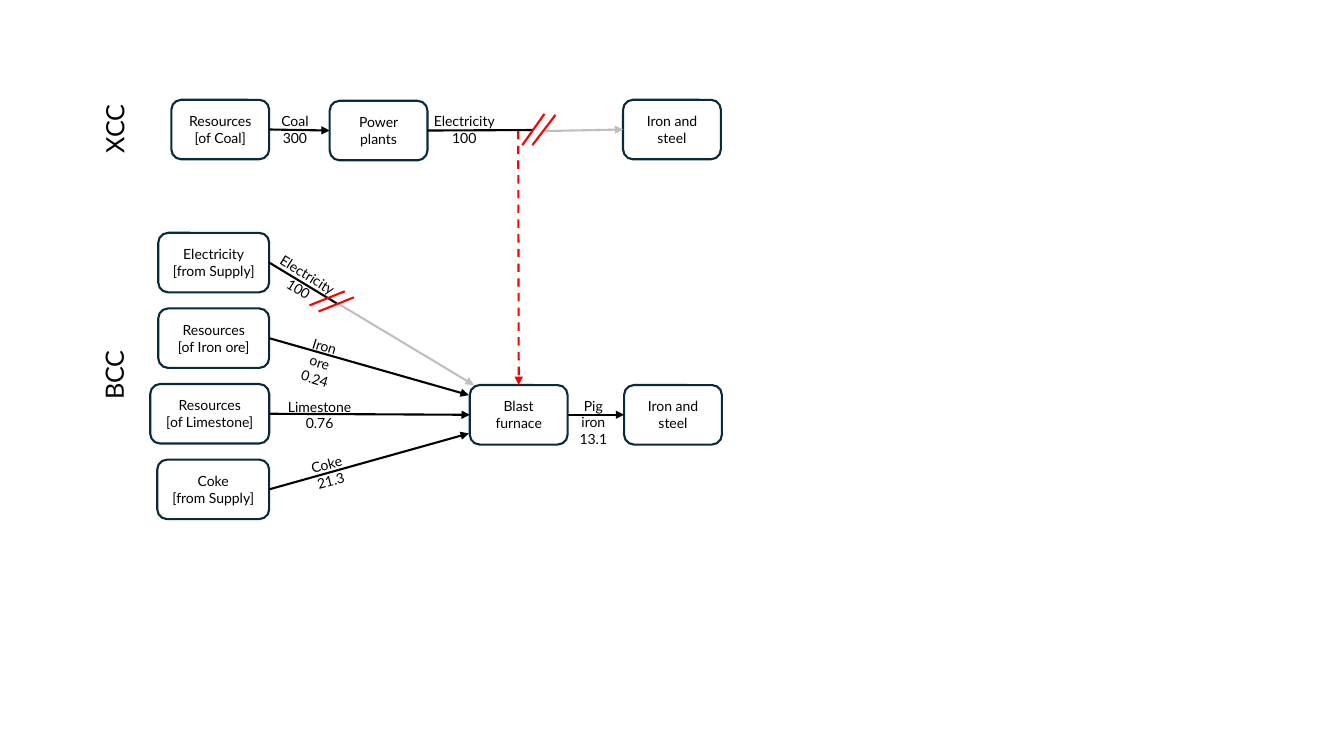
from pptx import Presentation
from pptx.dml.color import RGBColor
from pptx.enum.dml import MSO_LINE
from pptx.enum.shapes import MSO_CONNECTOR, MSO_SHAPE
from pptx.enum.text import MSO_ANCHOR, PP_ALIGN
from pptx.oxml.ns import qn
from pptx.util import Inches, Pt
from lxml import etree

BLACK, GREY, RED, NAVY, WHITE = "000000", "BFBFBF", "FF0000", "092A39", "FFFFFF"
TOP, LEFT, BOTTOM, RIGHT = range(4)
HIGH, WIDE, EDGE = 0.59, 0.97, 2.67

# name: (text, left, top, width)
BOXES = {
    "coal": ("Resources\n[of Coal]", 1.7, 0.99, WIDE),
    "plants": ("Power plants", 3.27, 1.0, WIDE),
    "steel": ("Iron and steel", 6.18, 0.99, WIDE),
    "furnace": ("Blast furnace", 4.66, 3.82, WIDE),
    "output": ("Iron and steel", 6.19, 3.82, WIDE),
}
INPUTS = [
    ("power", "Electricity\n[from Supply]", 1.1),
    ("ore", "Resources\n[of Iron ore]", 1.1),
    ("lime", "Resources\n[of Limestone]", 1.18),
    ("coke", "Coke\n[from Supply]", 1.11),
]
FIRST, STEP = 2.31, 0.75

# start, end, colour, arrow, dashed; an end is a point or (box name, side)
LINES = [
    (("power", RIGHT), (3.34, 3.01), BLACK, False, False),
    ((5.4, 1.3), ("steel", LEFT), GREY, True, False),
    (("coal", RIGHT), ("plants", LEFT), BLACK, True, False),
    (("ore", RIGHT), (4.65, 3.92), BLACK, True, False),
    (("lime", RIGHT), ("furnace", LEFT), BLACK, True, False),
    (("coke", RIGHT), (4.65, 4.3), BLACK, True, False),
    ((3.35, 3.01), (4.7, 3.82), GREY, True, False),
    (("furnace", RIGHT), ("output", LEFT), BLACK, True, False),
    ((5.14, 1.3), ("furnace", TOP), RED, True, True),
    (("plants", RIGHT), (5.31, 1.29), BLACK, False, False),
]
PATCH = [(5.18, 1.43), (5.4, 1.14), (5.52, 1.14), (5.29, 1.44)]
CUTS = [
    ((3.42, 2.89), (3.07, 3.03)),
    ((3.51, 2.95), (3.16, 3.09)),
    ((5.51, 1.14), (5.28, 1.44)),
    ((5.4, 1.13), (5.18, 1.44)),
]

# text, left, top, width, height, turn, size, side inset
LABELS = [
    ("Coal\n300", 2.68, 1.07, 0.49, 0.44, 0, 10, 0.05),
    ("Electricity\n100", 4.2, 1.07, 0.81, 0.44, 0, 10, 0.05),
    ("XCC", 0.79, 1.08, 0.69, 0.4, 270, 18, 0.05),
    ("BCC", 0.78, 3.52, 0.7, 0.4, 270, 18, 0.05),
    ("Iron ore\n0.24", 2.86, 3.3, 0.67, 0.44, 17, 10, 0.12),
    ("Limestone\n0.76", 2.75, 3.9, 0.84, 0.44, 0, 10, 0.05),
    ("Coke\n21.3", 3.0, 4.47, 0.52, 0.44, 345, 10, 0.05),
    ("Electricity\n100", 2.6, 2.58, 0.81, 0.44, 31.9, 10, 0.05),
    ("Pig iron\n13.1", 5.56, 3.89, 0.65, 0.44, 0, 10, 0.12),
]


def paint(color, hue):
    """Set a colour format from a hex string."""
    color.rgb = RGBColor.from_string(hue)


def write(shape, text, size=10, hue=BLACK, inset=0.1, anchor=MSO_ANCHOR.TOP):
    """Fill a shape with centred lines of text."""
    frame = shape.text_frame
    frame.word_wrap = True
    frame.vertical_anchor = anchor
    frame.margin_left = frame.margin_right = Inches(inset)
    frame.text = text
    for para in frame.paragraphs:
        para.alignment = PP_ALIGN.CENTER
        for run in para.runs:
            run.font.name, run.font.size = "Lato", Pt(size)
            paint(run.font.color, hue)


def add_box(shapes, text, left, top, width):
    """Add one rounded process box."""
    box = shapes.add_shape(MSO_SHAPE.ROUNDED_RECTANGLE,
                           *map(Inches, (left, top, width, HIGH)))
    box.shadow.inherit = False
    box.fill.background()
    paint(box.line.color, NAVY)
    box.line.width = Pt(1.5)
    write(box, text, anchor=MSO_ANCHOR.MIDDLE)
    return box


def add_line(shapes, boxes, start, end, hue, arrow=False, dashed=False):
    """Add one line, joined to a box where an end names one."""
    spots = [(0, 0) if spot[0] in boxes else spot for spot in (start, end)]
    line = shapes.add_connector(MSO_CONNECTOR.STRAIGHT,
                                *map(Inches, spots[0] + spots[1]))
    for spot, join in ((start, line.begin_connect), (end, line.end_connect)):
        if spot[0] in boxes:
            join(boxes[spot[0]], spot[1])
    paint(line.line.color, hue)
    line.line.width = Pt(1.5)
    if dashed:
        line.line.dash_style = MSO_LINE.DASH
    if arrow:
        etree.SubElement(line.line._get_or_add_ln(), qn("a:tailEnd"), type="triangle")
    etree.SubElement(line._element.spPr, qn("a:effectLst"))


def add_patch(shapes):
    """Add the white gap between the two upper cut marks."""
    dots = [tuple(map(Inches, dot)) for dot in PATCH]
    build = shapes.build_freeform(*dots[0])
    build.add_line_segments(dots[1:], close=True)
    patch = build.convert_to_shape()
    patch.shadow.inherit = False
    patch.fill.solid()
    paint(patch.fill.fore_color, WHITE)
    patch.line.fill.background()


def main():
    """Build the slide and save it."""
    deck = Presentation()
    deck.slide_width, deck.slide_height = Inches(13.33), Inches(7.5)
    shapes = deck.slides.add_slide(deck.slide_layouts[6]).shapes
    plan = dict(BOXES)
    for row, (name, text, width) in enumerate(INPUTS):
        plan[name] = (text, EDGE - width, FIRST + row * STEP, width)
    boxes = {name: add_box(shapes, *item) for name, item in plan.items()}
    for item in LINES:
        add_line(shapes, boxes, *item)
    for text, left, top, width, high, turn, size, inset in LABELS:
        label = shapes.add_textbox(*map(Inches, (left, top, width, high)))
        label.rotation = turn
        write(label, text, size=size, inset=inset)
    add_patch(shapes)
    for start, end in CUTS:
        add_line(shapes, boxes, start, end, RED)
    deck.save("out.pptx")


if __name__ == "__main__":
    main()
